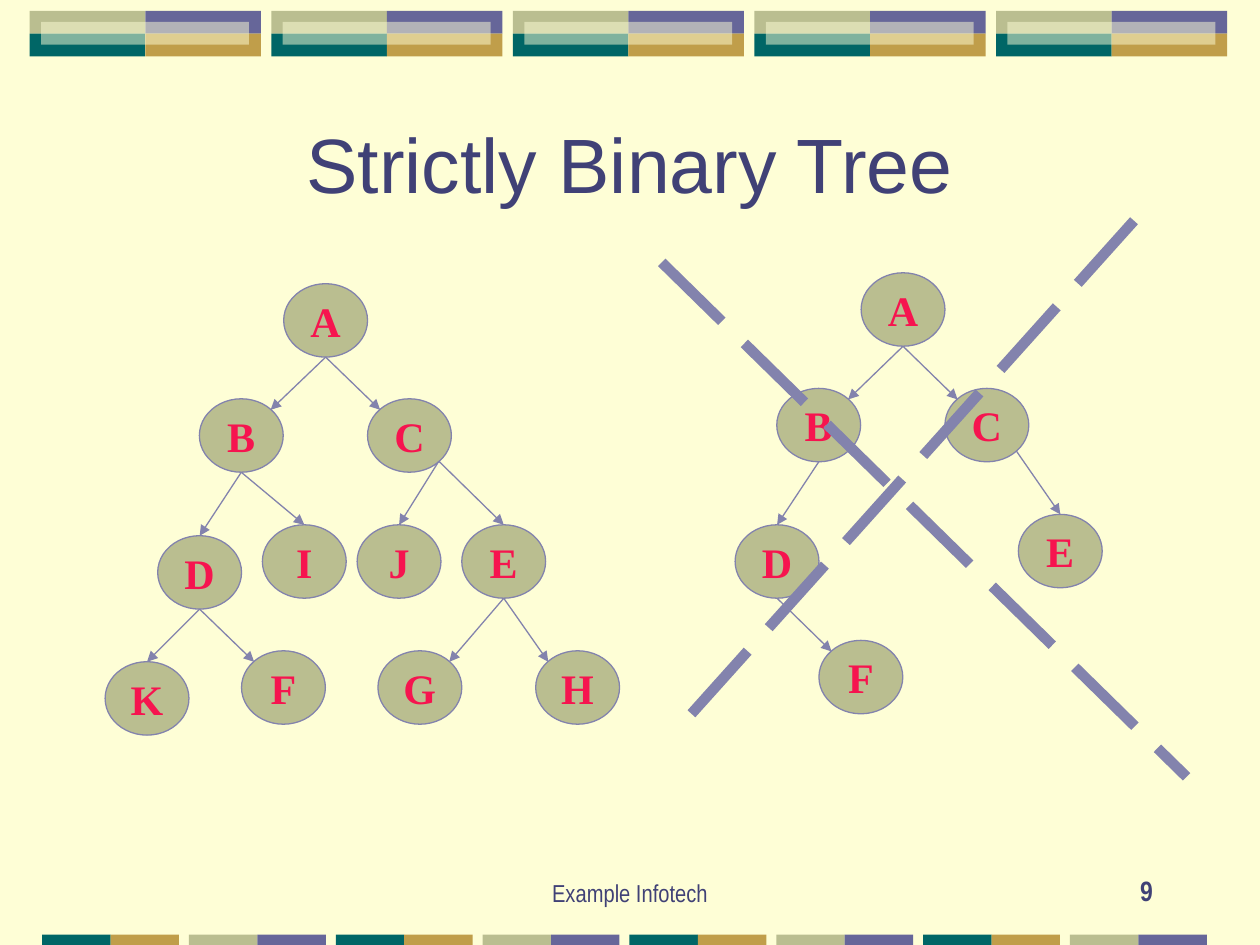
"""Build a slide that contrasts a strictly binary tree with one that is not."""
from enum import Enum
from typing import NamedTuple

from lxml import etree
from pptx import Presentation
from pptx import util as u
from pptx.dml.color import RGBColor
from pptx.enum import dml, shapes, text
from pptx.oxml import ns
from pptx.slide import Slide

COLOURS = {
    "cream": "FEFED6", "olive": "BABE90", "violet": "666699", "gold": "C09E4A",
    "teal": "006666", "navy": "404176", "lilac": "8383AD", "crimson": "F6144F",
}
NODE_WIDTH, NODE_HEIGHT = 1.69, 1.48


class Site(Enum):
    TOP = (0.5, 0)
    BOTTOM = (0.5, 1)
    UPPER_LEFT = (0.15, 0.15)
    UPPER_RIGHT = (0.85, 0.15)
    LOWER_RIGHT = (0.85, 0.85)


class Point(NamedTuple):
    x: float
    y: float


class Edge(NamedTuple):
    parent: str
    child: str
    arrival: Site = Site.TOP
    departure: Site = Site.BOTTOM


class Tree(NamedTuple):
    nodes: dict[str, Point]
    edges: list[Edge]


class Label(NamedTuple):
    wording: str
    left: float
    top: float
    width: float
    height: float
    size: int
    font: str
    align: text.PP_ALIGN = text.PP_ALIGN.CENTER
    anchor: text.MSO_ANCHOR = text.MSO_ANCHOR.BOTTOM
    bold: bool = False


STRICT = Tree(
    {"A": Point(5.72, 5.72), "B": Point(4.02, 8.04), "C": Point(7.41, 8.04),
     "D": Point(3.18, 10.8), "I": Point(5.29, 10.58), "J": Point(7.2, 10.58),
     "E": Point(9.31, 10.58), "K": Point(2.12, 13.34), "F": Point(4.87, 13.12),
     "G": Point(7.62, 13.12), "H": Point(10.8, 13.12)},
    [Edge("A", "B", Site.UPPER_RIGHT), Edge("A", "C", Site.UPPER_LEFT),
     Edge("B", "D"), Edge("B", "I"),
     Edge("C", "J", departure=Site.LOWER_RIGHT),
     Edge("C", "E", departure=Site.LOWER_RIGHT),
     Edge("D", "K"), Edge("D", "F", Site.UPPER_LEFT),
     Edge("E", "G", Site.UPPER_RIGHT), Edge("E", "H", Site.UPPER_LEFT)],
)
NOT_STRICT = Tree(
    {"A": Point(17.36, 5.5), "B": Point(15.66, 7.83), "C": Point(19.05, 7.83),
     "D": Point(14.82, 10.58), "E": Point(20.53, 10.37), "F": Point(16.51, 12.91)},
    [Edge("A", "B", Site.UPPER_RIGHT), Edge("A", "C", Site.UPPER_LEFT),
     Edge("B", "D"), Edge("C", "E", departure=Site.LOWER_RIGHT),
     Edge("D", "F", Site.UPPER_LEFT)],
)
CROSS = [(Point(13.34, 5.29), Point(23.92, 15.66)),
         (Point(22.86, 4.45), Point(13.74, 14.61))]
LABELS = [
    Label("Example Infotech", 8.68, 17.15, 8.04, 1.27, 14, "Arial Narrow"),
    Label("9", 18.2, 17.15, 5.29, 1.27, 16, "Arial Narrow",
          align=text.PP_ALIGN.RIGHT, bold=True),
    Label("Strictly Binary Tree", 1.9, 1.7, 21.6, 3.18, 44, "Arial",
          anchor=text.MSO_ANCHOR.MIDDLE),
]


def paint(colour_format, name: str) -> None:
    """Give a fill a solid named colour."""
    colour_format.solid()
    colour_format.fore_color.rgb = RGBColor.from_string(COLOURS[name])


def add_tile(page: Slide, left: float, top: float, width: float, height: float,
             colour: str):
    """Draw a rectangle without outline."""
    tile = page.shapes.add_shape(shapes.MSO_SHAPE.RECTANGLE, u.Cm(left), u.Cm(top),
                                 u.Cm(width), u.Cm(height))
    tile.shadow.inherit = False
    paint(tile.fill, colour)
    tile.line.fill.background()
    return tile


def add_banner(page: Slide) -> None:
    """Draw the row of four-colour blocks along the top."""
    width, height = 2.33, 0.46
    rows = [("olive", "violet"), ("teal", "gold")]
    for block in range(5):
        left = 0.6 + 4.87 * block
        for row, colours in enumerate(rows):
            for column, colour in enumerate(colours):
                add_tile(page, left + column * width, 0.22 + row * height,
                         width, height, colour)
        veil = add_tile(page, left + 0.23, 0.44, 4.19, height, "cream")
        tint = veil.fill._xPr.find(".//" + ns.qn("a:srgbClr"))
        etree.SubElement(tint, ns.qn("a:alpha"), val="50000")


def add_strip(page: Slide) -> None:
    """Draw the two-colour bars along the bottom."""
    width = 1.38
    pairs = [("teal", "gold"), ("olive", "violet")]
    for bar in range(8):
        for column, colour in enumerate(pairs[bar % 2]):
            add_tile(page, 0.85 + 2.96 * bar + column * width, 18.84,
                     width, 0.21, colour)


def set_text(shape, wording: str, size: int, font: str, colour: str, bold: bool,
             align: text.PP_ALIGN, anchor: text.MSO_ANCHOR) -> None:
    """Write one formatted paragraph into a shape."""
    frame = shape.text_frame
    frame.text = wording
    frame.vertical_anchor = anchor
    para = frame.paragraphs[0]
    para.alignment = align
    span = para.runs[0]
    span.font.size = u.Pt(size)
    span.font.name = font
    span.font.bold = bold
    span.font.color.rgb = RGBColor.from_string(COLOURS[colour])


def add_label(page: Slide, label: Label) -> None:
    """Draw a wrapped text box."""
    box = page.shapes.add_textbox(u.Cm(label.left), u.Cm(label.top),
                                  u.Cm(label.width), u.Cm(label.height))
    box.text_frame.word_wrap = True
    set_text(box, label.wording, label.size, label.font, "navy", label.bold,
             label.align, label.anchor)


def add_node(page: Slide, name: str, corner: Point) -> None:
    """Draw a tree node with its letter."""
    node = page.shapes.add_shape(shapes.MSO_SHAPE.OVAL, u.Cm(corner.x), u.Cm(corner.y),
                                 u.Cm(NODE_WIDTH), u.Cm(NODE_HEIGHT))
    node.shadow.inherit = False
    paint(node.fill, "olive")
    paint(node.line.fill, "lilac")
    node.line.width = u.Pt(0.75)
    node.text_frame.word_wrap = False
    set_text(node, name, 24, "Times New Roman", "crimson", True,
             text.PP_ALIGN.CENTER, text.MSO_ANCHOR.MIDDLE)


def add_line(page: Slide, start: Point, end: Point, width: float):
    """Draw a straight line between two points."""
    line = page.shapes.add_connector(shapes.MSO_CONNECTOR.STRAIGHT, u.Cm(start.x),
                                     u.Cm(start.y), u.Cm(end.x), u.Cm(end.y))
    paint(line.line.fill, "lilac")
    line.line.width = u.Pt(width)
    etree.SubElement(line._element.spPr, ns.qn("a:effectLst"))
    return line


def locate(corner: Point, site: Site) -> Point:
    """Find where a line meets the rim of a node."""
    across, down = site.value
    return Point(corner.x + across * NODE_WIDTH, corner.y + down * NODE_HEIGHT)


def add_tree(page: Slide, tree: Tree) -> None:
    """Draw the nodes of a tree and the arrows between them."""
    for name, corner in tree.nodes.items():
        add_node(page, name, corner)
    for edge in tree.edges:
        arrow = add_line(page, locate(tree.nodes[edge.parent], edge.departure),
                         locate(tree.nodes[edge.child], edge.arrival), 0.75)
        etree.SubElement(arrow.line._get_or_add_ln(), ns.qn("a:tailEnd"), type="triangle")


def main() -> None:
    """Assemble and save the deck."""
    deck = Presentation()
    deck.slide_width, deck.slide_height = u.Cm(25.4), u.Cm(19.05)
    page = deck.slides.add_slide(deck.slide_layouts[6])
    paint(page.background.fill, "cream")
    add_banner(page)
    add_strip(page)
    for label in LABELS:
        add_label(page, label)
    for tree in (STRICT, NOT_STRICT):
        add_tree(page, tree)
    for start, end in CROSS:
        add_line(page, start, end, 6).line.dash_style = dml.MSO_LINE.LONG_DASH
    deck.save("out.pptx")


if __name__ == "__main__":
    main()
